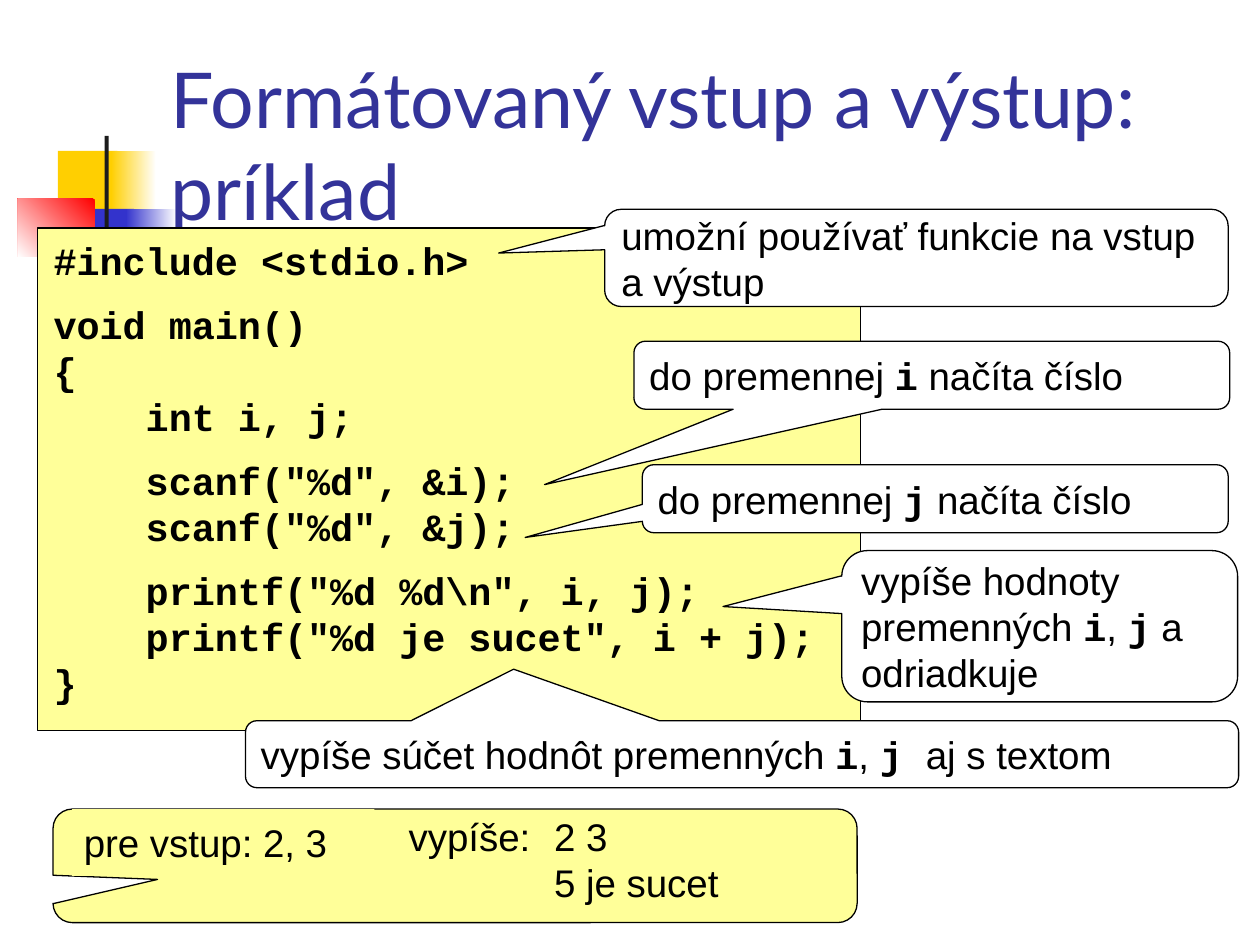
from pptx import Presentation
from pptx.dml.color import RGBColor
from pptx.enum.shapes import MSO_SHAPE as Shape
from pptx.enum.text import MSO_ANCHOR as Anchor, PP_ALIGN as Align
from pptx.oxml.xmlchemy import OxmlElement
from pptx.util import Cm, Pt

BLACK = RGBColor(0x00, 0x00, 0x00)
WHITE = RGBColor(0xFF, 0xFF, 0xFF)
CHARCOAL = RGBColor(0x1C, 0x1C, 0x1C)
GOLD = RGBColor(0xFF, 0xCF, 0x01)
BLUE = RGBColor(0x33, 0x33, 0xCC)
RED = RGBColor(0xFF, 0x00, 0x00)
NAVY = RGBColor(0x33, 0x33, 0x99)
CREAM = RGBColor(0xFF, 0xFF, 0x99)

SANS, MONO, TITLE_FONT = "Arial", "Courier New", "Lato"

CODE_BLOCKS = [
    ["#include <stdio.h>"],
    ["void main()", "{", "    int i, j;"],
    ['    scanf("%d", &i);', '    scanf("%d", &j);'],
    ['    printf("%d %d\\n", i, j);', '    printf("%d je sucet", i + j);', "}"],
]

CALLOUTS = [
    ((12.19, 4.22, 12.57, 1.96), (-0.67, -0.05), "umožní používať funkcie na vstup a výstup"),
    ((12.78, 6.88, 12.01, 1.37), (-0.65, 1.61), "do premennej `i` načíta číslo"),
    ((12.95, 9.37, 11.81, 1.37), (-0.7, 0.57), "do premennej `j` načíta číslo"),
    ((16.97, 11.1, 7.98, 3.05), (-0.8, -0.13), "vypíše hodnoty premenných `i`, `j` a odriadkuje"),
    ((4.95, 14.53, 20.02, 1.35), (-0.23, -1.27), "vypíše súčet hodnôt premenných `i`, `j ` aj s textom".replace("j ` aj", "j `aj")),
]


def add_box(slide, box, kind=Shape.RECTANGLE, fill=None, fade=None, angle=180, outlined=False):
    shape = slide.shapes.add_shape(kind, *map(Cm, box))
    shape.shadow.inherit = False
    if fade:
        shape.fill.gradient()
        shape.fill.gradient_angle = angle
        for stop, color in zip(shape.fill.gradient_stops, fade):
            stop.color.rgb = color
    else:
        shape.fill.solid()
        shape.fill.fore_color.rgb = fill
    if outlined:
        shape.line.color.rgb = BLACK
        shape.line.width = Pt(0.75)
    else:
        shape.line.fill.background()
    return shape


def add_tab_stop(paragraph, position):
    tab_list = OxmlElement("a:tabLst")
    tab = OxmlElement("a:tab")
    tab.set("pos", str(Cm(position)))
    tab.set("algn", "l")
    tab_list.append(tab)
    paragraph._p.get_or_add_pPr().append(tab_list)


def write(shape, text, font=SANS, size=22, color=BLACK, bold=False, anchor=Anchor.MIDDLE,
          gaps=(), tab=None, rich=False):
    frame = shape.text_frame
    frame.word_wrap = True
    frame.vertical_anchor = anchor
    frame.margin_left = frame.margin_right = Cm(0.24)
    frame.margin_top = frame.margin_bottom = Cm(0.12)
    for index, line in enumerate(text.split("\n")):
        paragraph = frame.paragraphs[0] if index == 0 else frame.add_paragraph()
        paragraph.alignment = Align.LEFT
        if index in gaps:
            paragraph.space_before = Pt(10.2)
        if tab:
            add_tab_stop(paragraph, tab)
        parts = line.split("`") if rich else [line]
        for position, part in enumerate(parts):
            is_code = position % 2 == 1
            run = paragraph.add_run()
            run.text = part
            run.font.name = MONO if is_code else font
            run.font.size = Pt(size)
            run.font.bold = bold or is_code
            run.font.color.rgb = color


def add_decoration(slide, left, top):
    for color, x, y, fade_x, fade_width in [(GOLD, 0.81, 0.3, 1.88, 0.91),
                                            (BLUE, 1.14, 1.47, 2.18, 1.02)]:
        add_box(slide, (left + x, top + y, 1.2, 1.32), fill=color)
        add_box(slide, (left + fade_x, top + y, fade_width, 1.32), fade=(WHITE, color))
    add_box(slide, (left, top + 1.27, 1.55, 1.17), fade=(RED, WHITE), angle=225)
    add_box(slide, (left + 1.75, top, 0.08, 2.92), fill=CHARCOAL)
    add_box(slide, (left + 0.86, top + 2.21, 22.86, 0.08), fade=(WHITE, CHARCOAL))


def add_title(slide, box):
    title = slide.shapes.add_textbox(*map(Cm, box))
    write(title, "Formátovaný vstup a výstup: príklad", font=TITLE_FONT, size=44, color=NAVY,
          anchor=Anchor.BOTTOM)


def add_code_panel(slide, box):
    left, top, width, height = box
    add_box(slide, box, fill=CREAM, outlined=True)
    listing = add_box(slide, (left + 0.08, top + 0.05, width - 0.48, height - 0.38), fill=CREAM)
    lines, gaps = [], []
    for block in CODE_BLOCKS:
        if lines:
            gaps.append(len(lines))
        lines += block
    write(listing, "\n".join(lines), font=MONO, bold=True, anchor=Anchor.TOP, gaps=gaps)


def add_callout(slide, box, tip, fill=WHITE):
    callout = add_box(slide, box, Shape.ROUNDED_RECTANGULAR_CALLOUT, fill=fill, outlined=True)
    for index, value in enumerate((*tip, 0.17)):
        callout.adjustments[index] = value
    return callout


def add_output_panel(slide, box):
    left, top, _, _ = box
    add_callout(slide, box, (-0.37, 0.12), fill=CREAM)
    entered = add_box(slide, (left + 0.38, top, 6.1, 1.35), fill=CREAM)
    write(entered, "pre vstup: 2, 3")
    printed = slide.shapes.add_textbox(Cm(left + 6.93), Cm(top + 0.15), Cm(8), Cm(1.73))
    write(printed, "vypíše:\t2 3\n\t5 je sucet", tab=2.93)


def main():
    presentation = Presentation()
    presentation.slide_width, presentation.slide_height = Cm(25.4), Cm(19.05)
    slide = presentation.slides.add_slide(presentation.slide_layouts[6])
    add_decoration(slide, 0.36, 2.74)
    add_output_panel(slide, (1.07, 16.31, 16.21, 2.29))
    add_title(slide, (3.2, 1.7, 21.64, 3.18))
    add_code_panel(slide, (0.76, 4.6, 16.59, 10.13))
    for box, tip, text in CALLOUTS:
        write(add_callout(slide, box, tip), text, rich=True)
    presentation.save("out.pptx")


if __name__ == "__main__":
    main()
